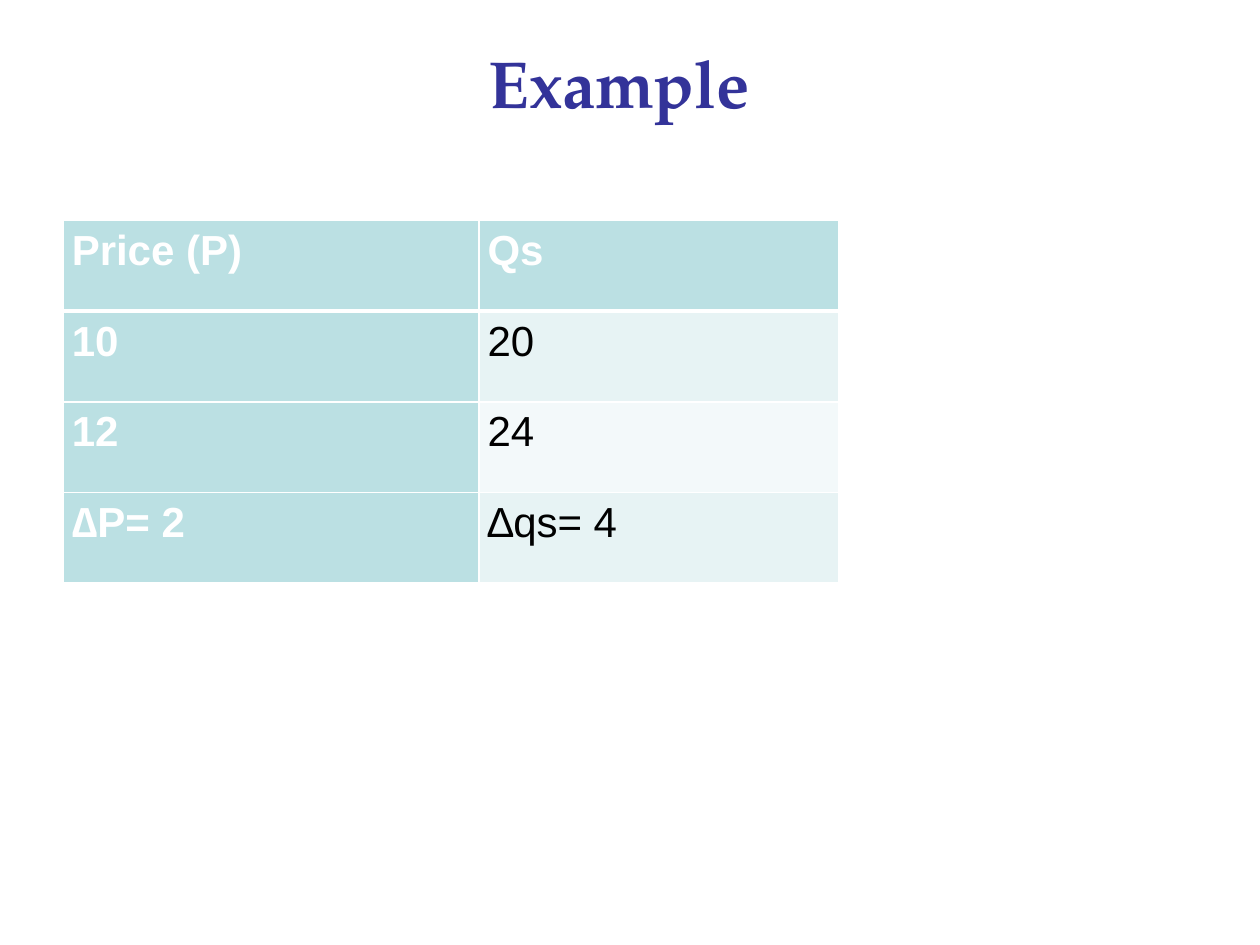
from dataclasses import dataclass

from lxml import etree
from pptx import Presentation
from pptx import util as u
from pptx.dml.color import RGBColor
from pptx.enum import text
from pptx.oxml.ns import qn

TITLE = "Example "
SUPPLY_ROWS = [("Price (P)", "Qs"), ("10", "20"), ("12", "24"), ("∆P= 2", "∆qs= 4")]


@dataclass(frozen=True)
class Theme:
    title_font: str = "TeX Gyre Pagella"
    body_font: str = "Arial"
    title_size: int = 38
    body_size: int = 24
    title: str = "333399"
    white: str = "FFFFFF"
    black: str = "000000"
    header: str = "BBE0E3"
    bands: tuple = ("E7F3F4", "F3F9FA")


THEME = Theme()
TITLE_BOX = (0.38, 0.28, 9.2, 0.74)
TABLE_LEFT, TABLE_TOP = 0.5, 1.75
COLUMN_WIDTHS = (3.3, 2.86)
ROW_HEIGHT = 0.72
CELL_MARGINS = {"margin_left": 0.07, "margin_right": 0.07, "margin_top": 0, "margin_bottom": 0}


def style_font(font, name, size, color, bold):
    for key, value in {"name": name, "size": u.Pt(size), "bold": bold}.items():
        setattr(font, key, value)
    font.color.rgb = RGBColor.from_string(color)


def add_title(slide):
    title = slide.shapes.title
    for key, value in zip(("left", "top", "width", "height"), TITLE_BOX):
        setattr(title, key, u.Inches(value))
    frame = title.text_frame
    frame.text = TITLE
    frame.word_wrap = True
    frame.vertical_anchor = text.MSO_ANCHOR.MIDDLE
    paragraph = frame.paragraphs[0]
    paragraph.alignment = text.PP_ALIGN.CENTER
    style_font(paragraph.runs[0].font, THEME.title_font, THEME.title_size, THEME.title, True)


def set_borders(cell, widths):
    """Draw white borders; widths maps a border tag to points."""
    properties = cell._tc.get_or_add_tcPr()
    for position, (tag, width) in enumerate(widths.items()):
        line = etree.Element(qn(f"a:{tag}"), w=str(u.Pt(width)))
        fill = etree.SubElement(line, qn("a:solidFill"))
        etree.SubElement(fill, qn("a:srgbClr"), val=THEME.white)
        properties.insert(position, line)


def format_cell(cell, content, row, column):
    heading = row == 0 or column == 0
    cell.text = content
    for key, value in CELL_MARGINS.items():
        setattr(cell, key, u.Inches(value))
    paragraph = cell.text_frame.paragraphs[0]
    paragraph.line_spacing = 1.15
    style_font(paragraph.runs[0].font, THEME.body_font, THEME.body_size,
               THEME.white if heading else THEME.black, heading)
    cell.fill.solid()
    color = THEME.header if heading else THEME.bands[(row - 1) % 2]
    cell.fill.fore_color.rgb = RGBColor.from_string(color)
    set_borders(cell, {"lnL": 1, "lnR": 1,
                       "lnT": 3 if row == 1 else 1, "lnB": 3 if row == 0 else 1})


def add_supply_table(slide):
    box = (TABLE_LEFT, TABLE_TOP, sum(COLUMN_WIDTHS), ROW_HEIGHT * len(SUPPLY_ROWS))
    table = slide.shapes.add_table(len(SUPPLY_ROWS), len(COLUMN_WIDTHS),
                                   *map(u.Inches, box)).table
    table.first_col = True
    for column, width in zip(table.columns, COLUMN_WIDTHS):
        column.width = u.Inches(width)
    for row, contents in enumerate(SUPPLY_ROWS):
        table.rows[row].height = u.Inches(ROW_HEIGHT)
        for column, content in enumerate(contents):
            format_cell(table.cell(row, column), content, row, column)


def main():
    presentation = Presentation()
    presentation.slide_width, presentation.slide_height = u.Inches(10), u.Inches(7.5)
    slide = presentation.slides.add_slide(presentation.slide_layouts[5])
    add_title(slide)
    add_supply_table(slide)
    presentation.save("out.pptx")


if __name__ == "__main__":
    main()
